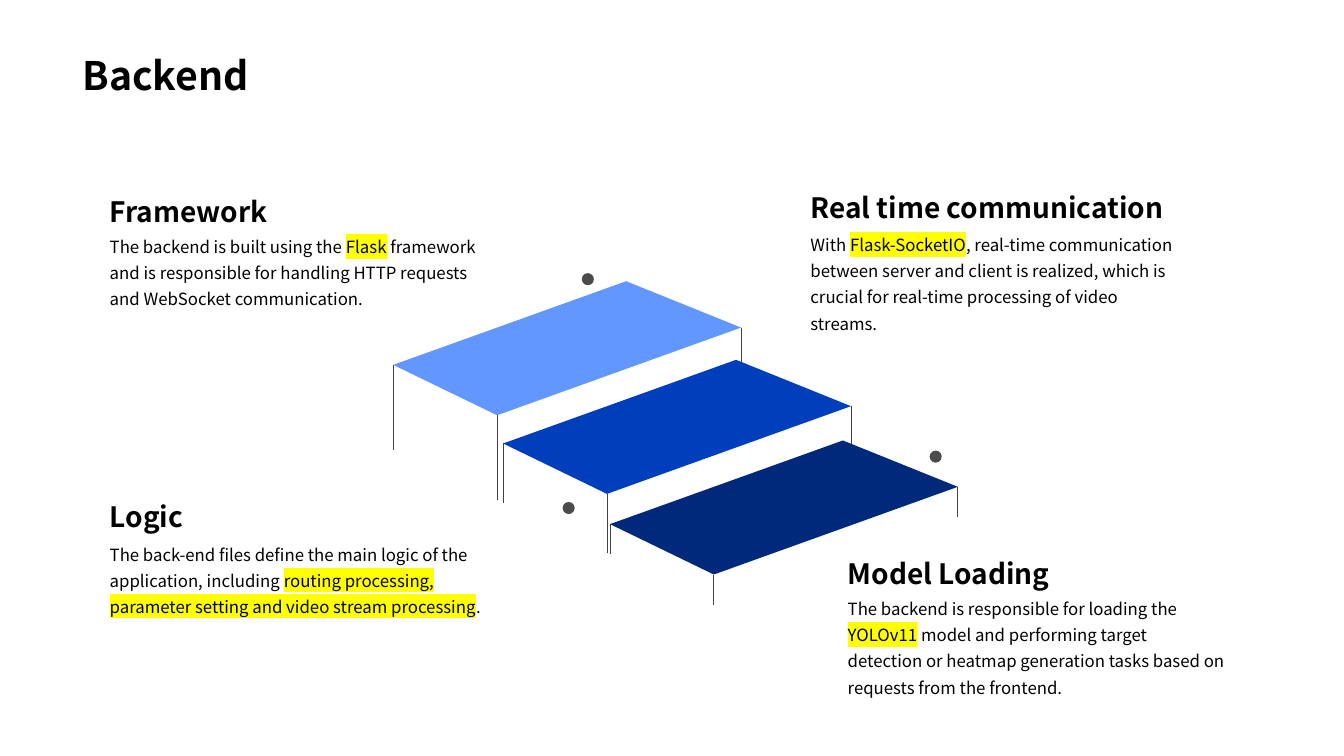
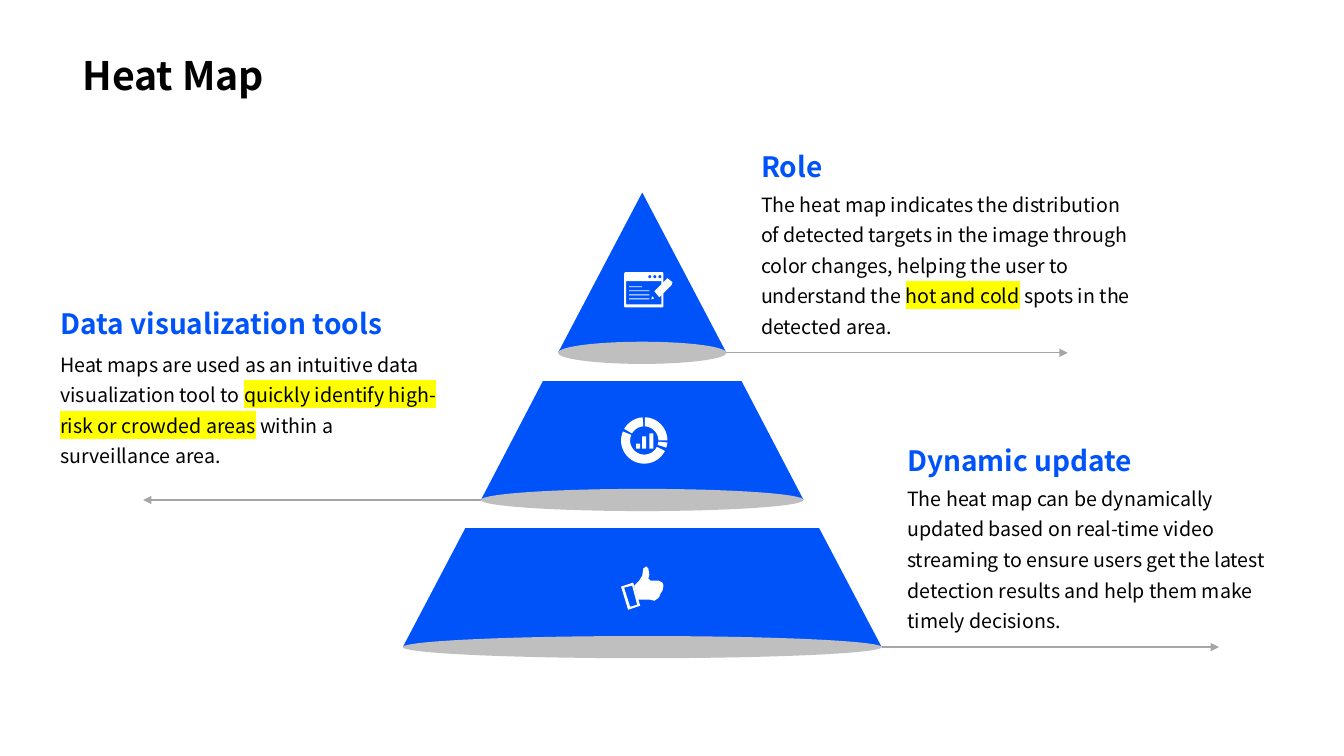
from math import cos, radians, sin

from lxml.etree import SubElement
from pptx import Presentation
from pptx.dml.color import RGBColor
from pptx.enum.shapes import MSO_CONNECTOR, MSO_SHAPE
from pptx.enum.text import MSO_ANCHOR, MSO_AUTO_SIZE
from pptx.oxml import parse_xml
from pptx.oxml.ns import nsdecls, qn
from pptx.util import Inches, Pt

BLACK = RGBColor(0x00, 0x00, 0x00)
WHITE = RGBColor(0xFF, 0xFF, 0xFF)
BLUE = RGBColor(0x00, 0x53, 0xF9)
STEP_BLUES = (RGBColor(0x62, 0x97, 0xFF), RGBColor(0x00, 0x3E, 0xBB), RGBColor(0x00, 0x29, 0x7C))
DOT_GREY = RGBColor(0x4B, 0x4B, 0x4B)
LEG_GREY = RGBColor(0x41, 0x41, 0x41)
BASE_GREY = RGBColor(0xBF, 0xBF, 0xBF)
ARROW_GREY = RGBColor(0xA6, 0xA6, 0xA6)
YELLOW = RGBColor(0xFF, 0xFF, 0x00)

FONT = "Noto Sans CJK JP"
TITLE = {"name": FONT, "size": Pt(28), "bold": True}
HEADING = {"name": FONT, "size": Pt(20), "bold": True}
BODY = {"name": FONT, "bold": False}
BODY_INSETS = (0.1, 0.05, 0.1, 0.05)
HEADING_INSETS = (0.1, 0, 0, 0)


def set_attrs(obj, values):
    for name, value in values.items():
        setattr(obj, name, value)


def paint(sp, color):
    sp.shadow.inherit = False
    sp.fill.solid()
    sp.fill.fore_color.rgb = color
    sp.line.fill.background()


def add_preset(s, kind, x, y, w, h, color):
    paint(s.shapes.add_shape(kind, Inches(x), Inches(y), Inches(w), Inches(h)), color)


def add_outline(s, x, y, contours, color):
    paths = [[(Inches(x + dx), Inches(y + dy)) for dx, dy in c] for c in contours]
    builder = s.shapes.build_freeform(*paths[0][0], scale=1.0)
    for i, path in enumerate(paths):
        if i:
            builder.move_to(*path[0])
        builder.add_line_segments(path[1:], close=True)
    paint(builder.convert_to_shape(), color)


def add_line(s, start, end, color, width, arrow=False):
    points = [Inches(v) for v in (*start, *end)]
    line = s.shapes.add_connector(MSO_CONNECTOR.STRAIGHT, *points)
    line.line.color.rgb = color
    line.line.width = Pt(width)
    if arrow:
        SubElement(line.line._get_or_add_ln(), qn("a:tailEnd"), type="triangle")
    SubElement(line._element.spPr, qn("a:effectLst"))


def add_run(p, text, style, color, marked=False):
    r = p.add_run()
    r.text = text
    set_attrs(r.font, style)
    r.font.color.rgb = color
    if marked:
        fill = r.font._element.find(qn("a:solidFill"))
        fill.addnext(parse_xml(
            f'<a:highlight {nsdecls("a")}><a:srgbClr val="{YELLOW}"/></a:highlight>'))


def add_text_box(s, x, y, w, h, insets):
    tf = s.shapes.add_textbox(Inches(x), Inches(y), Inches(w), Inches(h)).text_frame
    sides = ("margin_left", "margin_top", "margin_right", "margin_bottom")
    set_attrs(tf, {"word_wrap": True, **dict(zip(sides, map(Inches, insets)))})
    return tf


def add_title(s, text):
    tf = add_text_box(s, 0.72, 0.46, 11.67, 0.57, BODY_INSETS)
    set_attrs(tf, {"vertical_anchor": MSO_ANCHOR.BOTTOM,
                   "auto_size": MSO_AUTO_SIZE.SHAPE_TO_FIT_TEXT})
    add_run(tf.paragraphs[0], text, TITLE, BLACK)


def add_note(s, x, y, gap, heading, color, size, parts):
    tf = add_text_box(s, x, y, 3.94, 0.4, HEADING_INSETS)
    add_run(tf.paragraphs[0], heading, HEADING, color)
    p = add_text_box(s, x, y + gap, 3.94, 1.42, BODY_INSETS).paragraphs[0]
    p.line_spacing = 1.3
    for i, part in enumerate(parts):
        add_run(p, part, {**BODY, "size": Pt(size)}, BLACK, marked=i == 1)


def add_step(s, x, y, leg, color):
    left, back, right, front = (0, 0.83), (2.31, 0), (3.45, 0.46), (1.03, 1.33)
    for dx, dy in (left, front, right):
        add_line(s, (x + dx, y + dy), (x + dx, y + dy + leg), LEG_GREY, 0.5)
    add_outline(s, x, y, [(left, back, right, front)], color)


def add_tier(s, cx, y, top, base, h):
    add_outline(s, cx, y, [((-top / 2, 0), (top / 2, 0), (base / 2, h), (-base / 2, h))], BLUE)
    add_preset(s, MSO_SHAPE.OVAL, cx - base / 2, y + h - 0.11, base, 0.22, BASE_GREY)


def rectangle(x, y, w, h):
    return (x, y), (x + w, y), (x + w, y + h), (x, y + h)


def ring_sector(start, end, inner, outer):
    steps = 24
    angles = [radians(start + (end - start) * i / steps) for i in range(steps + 1)]
    return [(outer * cos(a), outer * sin(a)) for a in angles] + [
        (inner * cos(a), inner * sin(a)) for a in reversed(angles)]


def add_form_icon(s, x, y):
    frame = ((0.01, 0), (0.38, 0), (0.39, 0.01), (0.39, 0.34),
             (0.38, 0.35), (0.01, 0.35), (0, 0.34), (0, 0.01))
    add_outline(s, x, y, [frame, rectangle(0.02, 0.09, 0.35, 0.23)], WHITE)
    for i in range(3):
        add_preset(s, MSO_SHAPE.OVAL, x + 0.24 + 0.05 * i, y + 0.03, 0.03, 0.03, BLUE)
    for i, w in enumerate((0.13, 0.2, 0.2, 0.2)):
        add_preset(s, MSO_SHAPE.RECTANGLE, x + 0.05, y + 0.14 + 0.04 * i, w, 0.01, WHITE)
    pencil = ((0.3, 0.19), (0.43, 0.06), (0.48, 0.1), (0.47, 0.13), (0.35, 0.25))
    nib = ((0.28, 0.24), (0.3, 0.26), (0.27, 0.27))
    add_outline(s, x, y, [pencil], WHITE)
    add_outline(s, x, y, [nib], WHITE)


def add_chart_icon(s, cx, cy):
    for start, end in ((27, 203), (210, 266), (272, 360), (5, 18)):
        add_outline(s, cx, cy, [ring_sector(start, end, 0.14, 0.23)], WHITE)
    for dx, h in ((-0.08, 0.05), (-0.02, 0.12), (0.05, 0.15)):
        add_preset(s, MSO_SHAPE.RECTANGLE, cx + dx, cy + 0.08 - h, 0.04, h, WHITE)


def add_thumb_icon(s, x, y):
    cuff = ((0, 0.2), (0.12, 0.16), (0.19, 0.39), (0.07, 0.43))
    opening = ((0.03, 0.21), (0.11, 0.19), (0.16, 0.38), (0.09, 0.4))
    hand = ((0.13, 0.19), (0.18, 0.14), (0.21, 0.09), (0.22, 0.02), (0.25, 0),
            (0.27, 0.02), (0.28, 0.08), (0.27, 0.12), (0.29, 0.14), (0.37, 0.14),
            (0.41, 0.16), (0.42, 0.19), (0.41, 0.24), (0.39, 0.27), (0.38, 0.3),
            (0.36, 0.32), (0.33, 0.34), (0.29, 0.33), (0.23, 0.33), (0.17, 0.33))
    add_outline(s, x, y, [cuff, opening], WHITE)
    add_outline(s, x, y, [hand], WHITE)


def build_backend(s):
    steps = ((3.9, 2.79, 0.84), (4.99, 3.57, 0.59), (6.05, 4.37, 0.3))
    for step, color in zip(steps, STEP_BLUES):
        add_step(s, *step, color)
    for x, y in ((5.77, 2.71), (9.22, 4.47), (5.58, 4.98)):
        add_preset(s, MSO_SHAPE.OVAL, x, y, 0.12, 0.12, DOT_GREY)
    notes = (
        (0.99, 1.93, 0.31, "Framework", (
            "The backend is built using the ", "Flask",
            " framework and is responsible for handling HTTP requests"
            " and WebSocket communication.")),
        (0.99, 4.96, 0.33, "Logic", (
            "The back-end files define the main logic of the application, including ",
            "routing processing, parameter setting and video stream processing", ".")),
        (8.31, 5.52, 0.31, "Model Loading", (
            "The backend is responsible for loading the ", "YOLOv11",
            " model and performing target detection or heatmap generation tasks"
            " based on requests from the frontend.")),
        (7.94, 1.89, 0.33, "Real time communication", (
            "With ", "Flask-SocketIO",
            ", real-time communication between server and client is realized,"
            " which is crucial for real-time processing of video streams.")),
    )
    for x, y, gap, heading, parts in notes:
        add_note(s, x, y, gap, heading, BLACK, 12, parts)
    add_title(s, "Backend")


def build_heat_map(s):
    cx = 6.37
    tiers = ((1.91, 0, 1.67, 1.59, 1, 10.59),
             (3.78, 1.97, 3.2, 1.18, -1, 1.42),
             (5.24, 3.51, 4.75, 1.18, 1, 12.09))
    for y, top, base, h, side, tip in tiers:
        add_tier(s, cx, y, top, base, h)
        add_line(s, (cx + side * base / 2, y + h), (tip, y + h), ARROW_GREY, 1, arrow=True)
    notes = (
        (7.45, 1.48, 0.31, "Role", (
            "The heat map indicates the distribution of detected targets in the image"
            " through color changes, helping the user to understand the ",
            "hot and cold", " spots in the detected area.")),
        (0.5, 3.04, 0.34, "Data visualization tools", (
            "Heat maps are used as an intuitive data visualization tool to ",
            "quickly identify high-risk or crowded areas", " within a surveillance area.")),
        (8.9, 4.4, 0.31, "Dynamic update", (
            "The heat map can be dynamically updated based on real-time video streaming"
            " to ensure users get the latest detection results and help them make"
            " timely decisions.",)),
    )
    for x, y, gap, heading, parts in notes:
        add_note(s, x, y, gap, heading, BLUE, 14, parts)
    add_form_icon(s, 6.19, 2.7)
    add_chart_icon(s, 6.39, 4.37)
    add_thumb_icon(s, 6.16, 5.62)
    add_title(s, "Heat Map")


def main():
    prs = Presentation()
    set_attrs(prs, {"slide_width": Inches(13.33), "slide_height": Inches(7.5)})
    for build in (build_backend, build_heat_map):
        build(prs.slides.add_slide(prs.slide_layouts[6]))
    prs.save("out.pptx")


if __name__ == "__main__":
    main()
